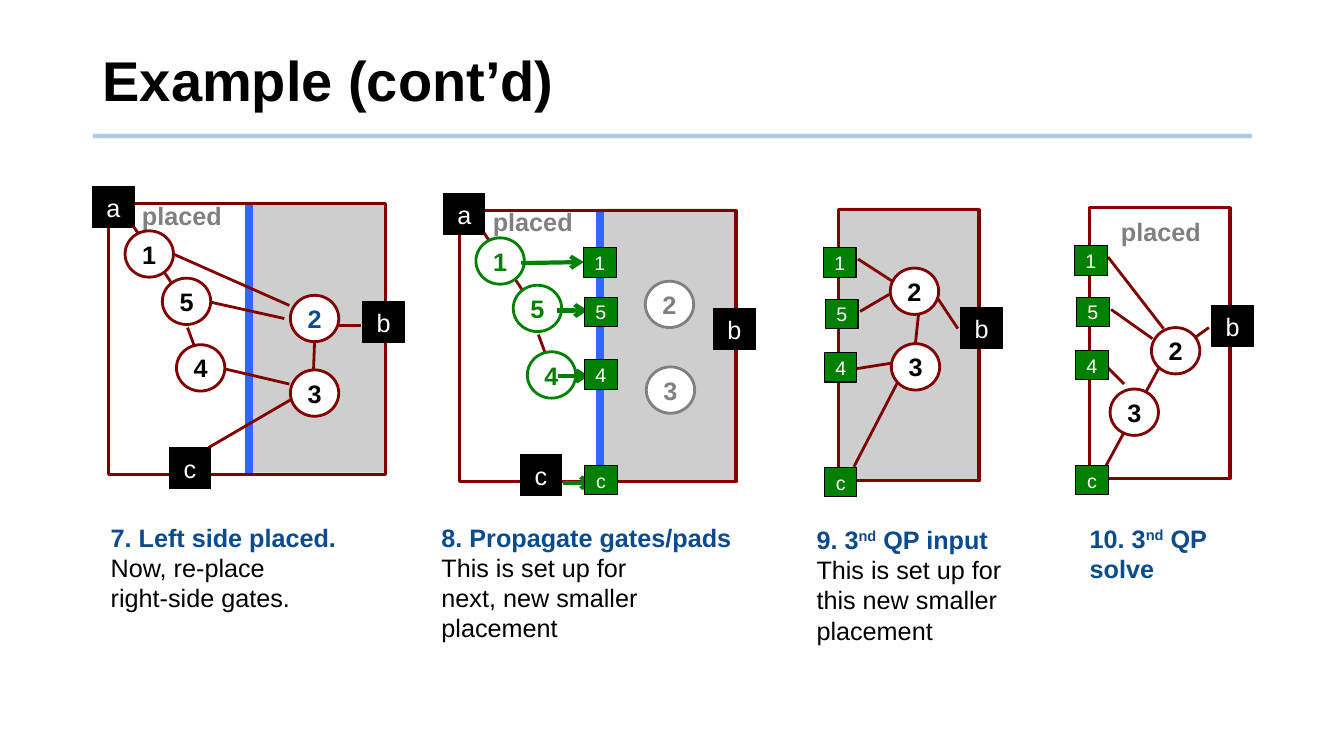
"""Build the slide that walks through steps 7 to 10 of the quadratic placement example."""
from lxml.etree import SubElement
from pptx import Presentation
from pptx.dml.color import RGBColor
from pptx.enum.shapes import MSO_CONNECTOR, MSO_SHAPE
from pptx.enum.text import MSO_ANCHOR, PP_ALIGN
from pptx.oxml.ns import qn
from pptx.util import Inches, Pt

BLACK = RGBColor(0x00, 0x00, 0x00)
WHITE = RGBColor(0xFF, 0xFF, 0xFF)
BLUE = RGBColor(0x0B, 0x4B, 0x8E)
RULE_BLUE = RGBColor(0x5B, 0x9B, 0xD5)
CUT_BLUE = RGBColor(0x33, 0x66, 0xFF)
MAROON = RGBColor(0x80, 0x00, 0x00)
GREEN = RGBColor(0x00, 0x80, 0x00)
GRAY = RGBColor(0x80, 0x80, 0x80)
SHADE = RGBColor(0xCE, 0xCE, 0xCE)

FONT = "Arial"
TITLE = "Example (cont’d)"
PANEL_HEIGHT, SHADE_WIDTH = 2.69, 1.4
FULL_WIDTH, HALF_WIDTH = 2.74, 1.39
PAD_SIZE, PORT_SIZE, GATE_SIZE = (0.41, 0.41), (0.32, 0.29), (0.48, 0.46)
LABEL_SIZE = (1, 0.4)

HEADING = {"size": Pt(18), "bold": True, "color": BLUE}
BODY = {"size": Pt(18), "bold": False, "color": BLACK}
LABEL = {"size": Pt(18), "bold": True, "color": GRAY}
PAD_TEXT = {"size": Pt(18), "bold": False, "color": WHITE}
PORT_TEXT = {"size": Pt(14), "bold": False, "color": WHITE}
SUPERSCRIPT = {**HEADING, "baseline": "30000"}

FULL_PADS = [("a", -0.16, -0.17), ("b", 2.52, 0.97), ("c", 0.6, 2.42)]
HALF_PADS = [("b", 1.21, 0.97)]
HALF_PORTS = [("1", -0.15, 0.38), ("5", -0.13, 0.89), ("4", -0.14, 1.42), ("c", -0.14, 2.56)]
LEFT_GATES = [("1", 0.16, 0.27), ("5", 0.53, 0.74), ("4", 0.67, 1.4)]
LEFT_WIRES = [(0.24, 0.22, 0.71, 0.92), (0.92, 1.61, 0.78, 1.23)]

PANELS = [
    {
        "origin": (1.08, 2.02), "width": FULL_WIDTH, "shade": 1.35, "cut": 1.39,
        "pads": FULL_PADS, "label": (0.23, -0.08),
        "wires": LEFT_WIRES + [
            (1.02, 0.98, 1.74, 1.14), (2.28, 1.21, 2.5, 1.21), (0.57, 0.47, 1.79, 1.01),
            (0.99, 2.42, 1.83, 1.93), (1.79, 1.79, 1.15, 1.64), (2.04, 1.37, 2.03, 1.65)],
        "gates": [
            (LEFT_GATES, MAROON, BLACK),
            ([("2", 1.8, 0.91)], MAROON, BLUE), ([("3", 1.8, 1.65)], MAROON, BLACK)],
        "caption_box": (1, 5.13, 2.46, 1.01),
        "caption": [[("7. Left side placed.", HEADING)],
                    [("Now, re-place\nright-side gates.", BODY)]],
    },
    {
        "origin": (4.56, 2.09), "width": FULL_WIDTH, "shade": 1.35, "cut": 1.39,
        "pads": FULL_PADS, "label": (0.23, -0.09), "wires": LEFT_WIRES,
        "gates": [(LEFT_GATES, GREEN, GREEN),
                  ([("2", 1.84, 0.7), ("3", 1.85, 1.55)], GRAY, GRAY)],
        "arrows": [(0.61, 0.52, 1.23, 0.51), (0.96, 0.99, 1.27, 0.99),
                   (0.97, 1.64, 1.28, 1.64), (1.02, 2.7, 1.33, 2.7)],
        "ports": [("1", 1.23, 0.37), ("5", 1.24, 0.86), ("4", 1.24, 1.48), ("c", 1.24, 2.53)],
        "caption_box": (4.28, 5.13, 3.11, 1.31),
        "caption": [[("8. Propagate gates/pads", HEADING)],
                    [("This is set up for\nnext, new smaller\nplacement", BODY)]],
    },
    {
        "origin": (8.32, 2.08), "width": HALF_WIDTH, "shade": 0.01,
        "pads": HALF_PADS, "ports": HALF_PORTS,
        "wires": [(0.19, 0.49, 0.53, 0.71), (1.18, 1.18, 0.98, 0.88), (0.21, 1.01, 0.5, 0.84),
                  (0.15, 2.55, 0.6, 1.68), (0.76, 1.32, 0.79, 1.04), (0.16, 1.58, 0.54, 1.52)],
        "gates": [([("2", 0.51, 0.58), ("3", 0.52, 1.33)], MAROON, BLACK)],
        "caption_box": (8, 5.15, 2.05, 1.31),
        "caption": [[("9. 3", HEADING), ("nd", SUPERSCRIPT), (" QP input", HEADING)],
                    [("This is set up for\nthis new smaller\nplacement", BODY)]],
    },
    {
        "origin": (10.81, 2.06), "width": HALF_WIDTH,
        "pads": HALF_PADS, "ports": HALF_PORTS, "label": (0.21, 0.04),
        "wires": [(0.18, 0.49, 0.73, 1.2), (1.18, 1.19, 0.83, 1.44), (0.21, 1.01, 0.62, 1.3),
                  (0.69, 1.58, 0.16, 2.56), (0.34, 1.75, 0.18, 1.59)],
        "gates": [([("2", 0.61, 1.19), ("3", 0.2, 1.8)], MAROON, BLACK)],
        "caption_box": (10.71, 5.14, 1.47, 0.71),
        "caption": [[("10. 3", HEADING), ("nd", SUPERSCRIPT), (" QP \nsolve", HEADING)]],
    },
]


def add_run(paragraph, text, style):
    """Add text in one style, turning newlines into line breaks."""
    for index, line in enumerate(text.split("\n")):
        if index:
            paragraph.add_line_break()
        run = paragraph.add_run()
        run.text = line
        for name, value in {"name": FONT, "size": style["size"], "bold": style["bold"]}.items():
            setattr(run.font, name, value)
        run.font.color.rgb = style["color"]
        if "baseline" in style:
            run.font._element.set("baseline", style["baseline"])


def add_text(slide, box, paragraphs, **frame_format):
    """Add a text box made of paragraphs of styled runs."""
    frame = slide.shapes.add_textbox(*map(Inches, box)).text_frame
    for name, value in {"word_wrap": False, **frame_format}.items():
        setattr(frame, name, value)
    for index, runs in enumerate(paragraphs):
        paragraph = frame.add_paragraph() if index else frame.paragraphs[0]
        for text, style in runs:
            add_run(paragraph, text, style)
    return frame


def add_box(slide, kind, box, fill=None, line=None, width=0.75, text="", style=None):
    """Add a preset shape with an optional centred caption."""
    shape = slide.shapes.add_shape(kind, *map(Inches, box))
    shape.shadow.inherit = False
    if fill is None:
        shape.fill.background()
    else:
        shape.fill.solid()
        shape.fill.fore_color.rgb = fill
    if line is None:
        shape.line.fill.background()
    else:
        shape.line.color.rgb = line
        shape.line.width = Pt(width)
    if text:
        frame_format = {"word_wrap": False, "vertical_anchor": MSO_ANCHOR.MIDDLE, "margin_left": 0,
                        "margin_right": 0, "margin_top": 0, "margin_bottom": 0}
        for name, value in frame_format.items():
            setattr(shape.text_frame, name, value)
        paragraph = shape.text_frame.paragraphs[0]
        paragraph.alignment = PP_ALIGN.CENTER
        add_run(paragraph, text, style)


def add_line(slide, ends, color, width, arrow=False):
    """Add a straight line, with an arrowhead at its end if wanted."""
    connector = slide.shapes.add_connector(MSO_CONNECTOR.STRAIGHT, *map(Inches, ends))
    connector.line.color.rgb = color
    connector.line.width = Pt(width)
    if arrow:
        SubElement(connector.line._get_or_add_ln(), qn("a:tailEnd"), type="arrow")
    SubElement(connector._element.spPr, qn("a:effectLst"))
    return connector


def add_panel(slide, panel):
    """Draw one placement step from back to front."""
    left, top = panel["origin"]

    def place(x, y, size):
        return (left + x, top + y, *size)

    def shift(ends):
        return [value + offset for value, offset in zip(ends, (left, top, left, top))]

    if "shade" in panel:
        add_box(slide, MSO_SHAPE.RECTANGLE,
                place(panel["shade"], -0.02, (SHADE_WIDTH, PANEL_HEIGHT)), SHADE)
    if "cut" in panel:
        add_line(slide, shift((panel["cut"], 0, panel["cut"], PANEL_HEIGHT)), CUT_BLUE, 6)
    add_box(slide, MSO_SHAPE.RECTANGLE, place(0, 0, (panel["width"], PANEL_HEIGHT)),
            None, MAROON, 2.25)
    for name, x, y in panel["pads"]:
        add_box(slide, MSO_SHAPE.RECTANGLE, place(x, y, PAD_SIZE), BLACK, BLACK, 0.75,
                name, PAD_TEXT)
    if "label" in panel:
        add_text(slide, place(*panel["label"], LABEL_SIZE), [[("placed", LABEL)]])
    for ends in panel["wires"]:
        add_line(slide, shift(ends), MAROON, 2)
    for gates, outline, color in panel["gates"]:
        for name, x, y in gates:
            add_box(slide, MSO_SHAPE.OVAL, place(x, y, GATE_SIZE), WHITE, outline, 2,
                    name, {**HEADING, "color": color})
    for ends in panel.get("arrows", []):
        add_line(slide, shift(ends), GREEN, 3, arrow=True)
    for name, x, y in panel.get("ports", []):
        add_box(slide, MSO_SHAPE.RECTANGLE, place(x, y, PORT_SIZE), GREEN, BLACK, 0.75,
                name, PORT_TEXT)
    add_text(slide, panel["caption_box"], panel["caption"])


def main():
    """Create the presentation and save it."""
    presentation = Presentation()
    presentation.slide_width, presentation.slide_height = Inches(13.33), Inches(7.5)
    slide = presentation.slides.add_slide(presentation.slide_layouts[6])
    rule = add_line(slide, (0.92, 1.35, 12.42, 1.35), RULE_BLUE, 3)
    rule_color = rule.line._get_or_add_ln().find(".//" + qn("a:srgbClr"))
    SubElement(rule_color, qn("a:alpha"), val="50000")
    title_style = {"size": Pt(40), "bold": True, "color": BLACK}
    title = add_text(slide, (0.92, 0.28, 11.5, 1.1), [[(TITLE, title_style)]],
                     word_wrap=True, vertical_anchor=MSO_ANCHOR.MIDDLE)
    title.paragraphs[0].line_spacing = 0.9
    for panel in PANELS:
        add_panel(slide, panel)
    presentation.save("out.pptx")


if __name__ == "__main__":
    main()
